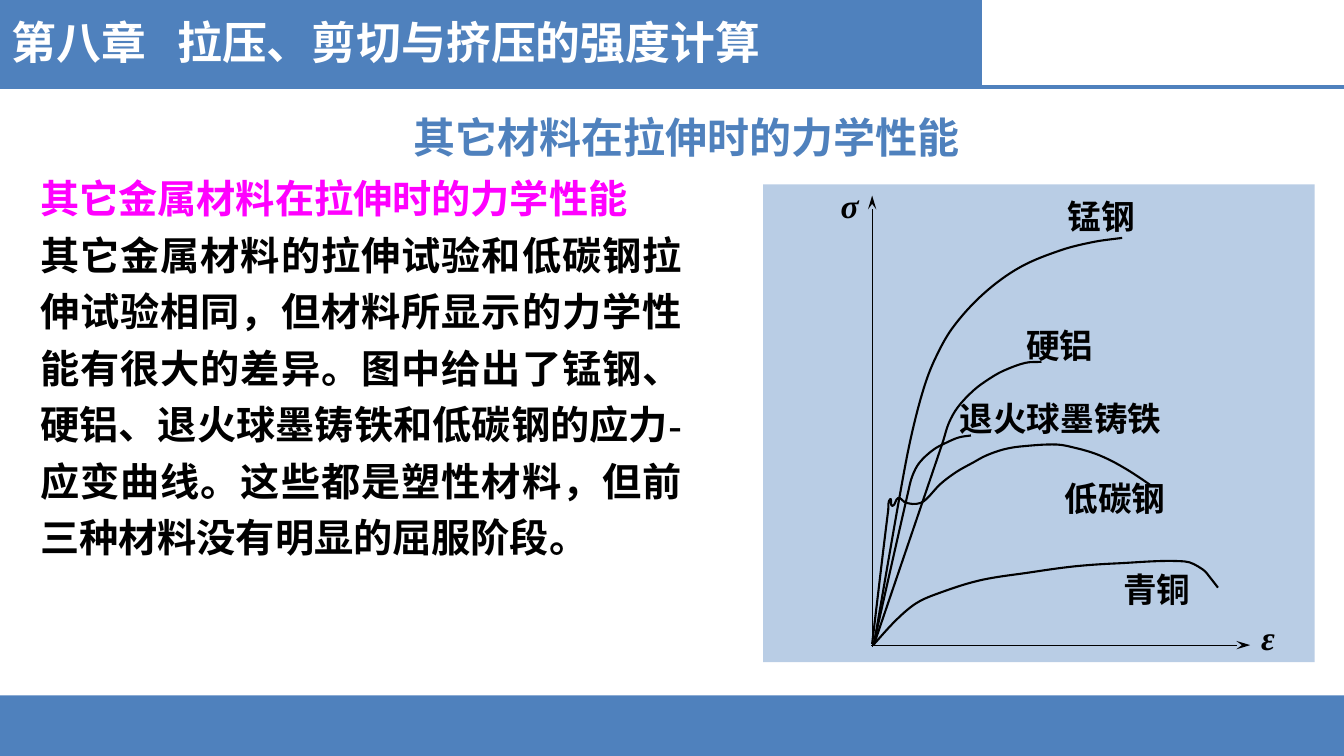
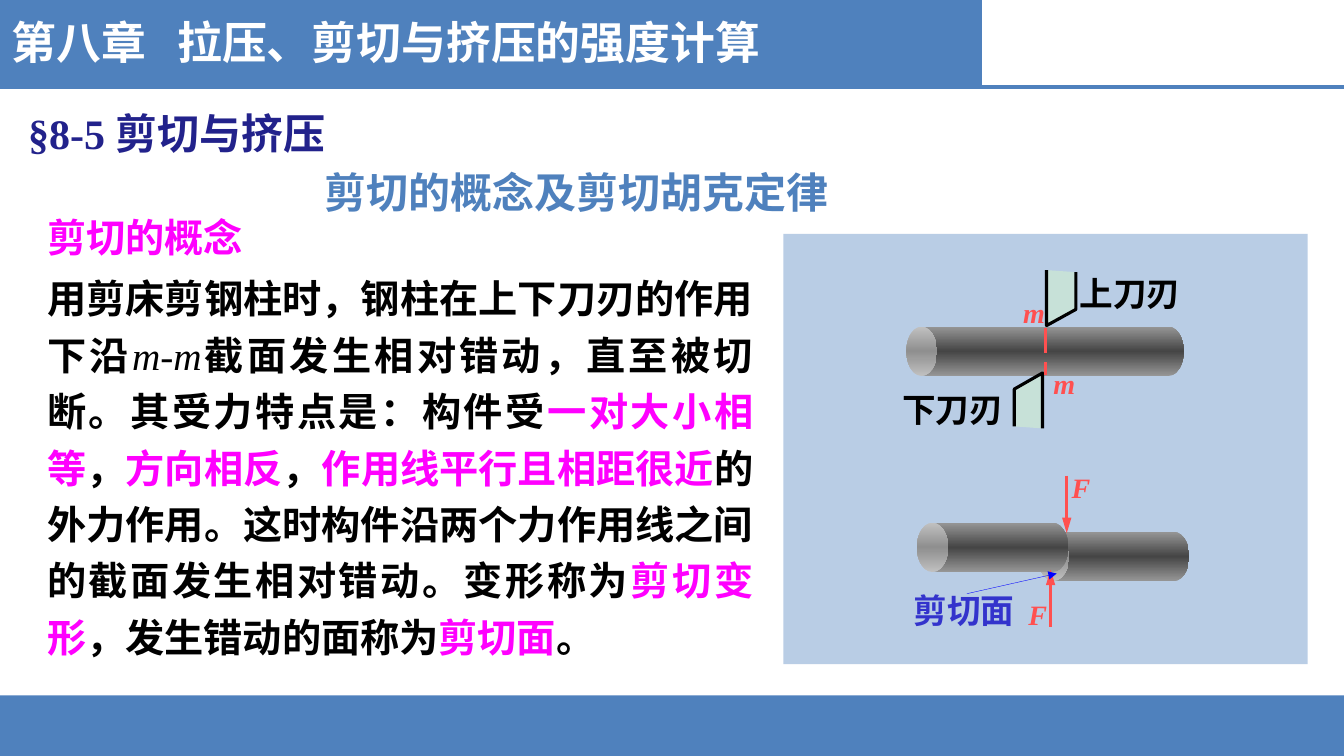
import copy
import math

import pptx
import pptx.dml.color
import pptx.enum.dml
import pptx.enum.shapes
import pptx.enum.text
import pptx.oxml
import pptx.oxml.ns
import pptx.util

Inches = pptx.util.Inches
qn = pptx.oxml.ns.qn
RGB = pptx.dml.color.RGBColor.from_string
SHAPE = pptx.enum.shapes.MSO_SHAPE
JUSTIFY = pptx.enum.text.PP_ALIGN.JUSTIFY

CJK = "Noto Sans CJK SC"
TIMES = "Times New Roman"
NAMESPACE = pptx.oxml.ns.nsdecls("a")
C = {
    "blue": "4F81BD", "panel": "B9CDE5", "white": "FFFFFF", "black": "000000",
    "magenta": "FF00FF", "navy": "22228B", "red": "FF5050", "blade": "C7E1D8",
    "callout": "3333CC", "pointer": "0000FF", "steel": "969696", "dark steel": "454545",
}


def add_text(slide, box, paragraphs, size, font=TIMES, align=None, spacing=None, inset=None):
    """Each paragraph is a list of runs: (text, colour[, style]); style holds b and/or i."""
    text_box = slide.shapes.add_textbox(*map(Inches, box))
    frame = text_box.text_frame
    frame.word_wrap = True
    if inset is not None:
        frame.margin_left = frame.margin_right = Inches(inset)
        frame.margin_top = frame.margin_bottom = Inches(inset)
    for number, runs in enumerate(paragraphs):
        paragraph = frame.add_paragraph() if number else frame.paragraphs[0]
        paragraph.alignment = align
        paragraph.line_spacing = spacing
        # Keep punctuation inside the right margin
        paragraph._p.get_or_add_pPr().set("hangingPunct", "0")
        for text, color, *style in runs:
            style = style[0] if style else "b"
            run = paragraph.add_run()
            run.text = text
            run.font.size = pptx.util.Pt(size)
            run.font.bold = "b" in style
            run.font.italic = "i" in style
            run.font.color.rgb = RGB(C[color])
            run.font.name = font
            properties = run._r.get_or_add_rPr()
            properties.set("lang", "zh-CN")
            properties.append(pptx.oxml.parse_xml(f'<a:ea {NAMESPACE} typeface="{CJK}"/>'))
    return text_box


def add_line(slide, start, end, color, width, arrow=None, arrow_length="lg", dash=None):
    line = slide.shapes.add_connector(
        pptx.enum.shapes.MSO_CONNECTOR.STRAIGHT, *map(Inches, (*start, *end)))
    line.line.color.rgb = RGB(C[color])
    line.line.width = pptx.util.Pt(width)
    if dash:
        line.line.dash_style = dash
    if arrow:
        line.line._get_or_add_ln().append(pptx.oxml.parse_xml(
            f'<a:tailEnd {NAMESPACE} type="{arrow}" w="med" len="{arrow_length}"/>'))
    line._element.spPr.append(pptx.oxml.parse_xml(f"<a:effectLst {NAMESPACE}/>"))
    return line


deck = pptx.Presentation()
deck.slide_width = Inches(13.33)
deck.slide_height = Inches(7.5)
layout = deck.slide_layouts[6]
for placeholder in list(layout.placeholders):
    placeholder.element.getparent().remove(placeholder.element)
tension = deck.slides.add_slide(layout)
shear = deck.slides.add_slide(layout)

# Bands and figure panels
rectangles = []
for slide, color, box in [
    (tension, "blue", (0, 6.9, 13.34, 0.6)),
    (tension, "blue", (0, -0.01, 9.74, 0.87)),
    (tension, "panel", (7.57, 1.83, 5.47, 4.74)),
    (shear, "panel", (7.77, 2.32, 5.2, 4.27)),
]:
    rectangle = slide.shapes.add_shape(SHAPE.RECTANGLE, *map(Inches, box))
    rectangle.shadow.inherit = False
    rectangle.fill.solid()
    rectangle.fill.fore_color.rgb = RGB(C[color])
    rectangle.line.fill.background()
    rectangles.append(rectangle)

# The chapter frame lives on the layout, so both slides show it
rule = add_line(tension, (0, 0.86), (13.33, 0.86), "blue", 3)
chapter = add_text(tension, (0.02, 0.1, 9, 0.64),
                   [[("第八章\t拉压、剪切与挤压的强度计算", "white")]], 32, CJK)
chapter_tabs = pptx.oxml.parse_xml(
    f'<a:tabLst {NAMESPACE}><a:tab pos="{Inches(1.64)}" algn="l"/></a:tabLst>')
chapter.text_frame.paragraphs[0]._p.get_or_add_pPr().append(chapter_tabs)
for part in [*rectangles[:2], rule, chapter]:
    layout.shapes._spTree.append(part._element)

# Topic headings
for slide, box, topic in [
    (tension, (4, 0.96, 5.8, 0.66), "其它材料在拉伸时的力学性能"),
    (shear, (3.12, 1.5, 5.38, 0.66), "剪切的概念及剪切胡克定律"),
]:
    add_text(slide, box, [[(topic, "blue")]], 30, CJK, spacing=1.2)

# Slide 1: stress-strain curves
add_text(tension, (0.3, 1.59, 6.56, 4.01), [
    [("其它金属材料在拉伸时的力学性能", "magenta")],
    [("其它金属材料的拉伸试验和低碳钢拉伸试验相同，但材料所显示的力学性能有很大的差异。"
      "图中给出了锰钢、硬铝、退火球墨铸铁和低碳钢的应力-应变曲线。"
      "这些都是塑性材料，但前三种材料没有明显的屈服阶段。", "black")],
], 28, align=JUSTIFY, spacing=1.2)

add_line(tension, (8.64, 6.4), (12.4, 6.4), "black", 0.75, "stealth")
add_line(tension, (8.65, 6.42), (8.65, 1.94), "black", 0.75, "stealth")

bronze = [(8.66, 6.4), (8.89, 6.15), (9.08, 5.99), (9.27, 5.9), (9.71, 5.76), (10.21, 5.68),
          (10.65, 5.62), (11.07, 5.59), (11.75, 5.57), (11.93, 5.65), (12.01, 5.74),
          (12.08, 5.83)]
mild_steel = [(8.65, 6.39), (8.81, 5.06), (8.83, 4.95), (8.85, 5.02), (8.91, 4.94),
              (8.97, 4.98), (9.05, 5), (9.13, 4.99), (9.19, 4.95), (9.33, 4.8), (9.49, 4.68),
              (9.65, 4.59), (9.78, 4.52), (9.95, 4.46), (10.12, 4.43), (10.48, 4.41),
              (10.69, 4.45), (10.86, 4.5), (11.02, 4.57), (11.18, 4.66), (11.32, 4.75),
              (11.42, 4.82)]
ductile_iron = [(8.67, 6.37), (9.01, 4.87), (9.05, 4.72), (9.12, 4.59), (9.26, 4.46),
                (9.39, 4.39), (9.51, 4.34), (9.63, 4.32)]
hard_aluminium = [(8.67, 6.39), (9.35, 4.39), (9.41, 4.2), (9.5, 4.04), (9.66, 3.87),
                  (9.81, 3.76), (9.95, 3.68), (10.17, 3.6), (10.33, 3.59)]
manganese_steel = [(8.67, 6.38), (8.94, 4.83), (9.04, 4.32), (9.16, 3.86), (9.27, 3.57),
                   (9.45, 3.25), (9.76, 2.91), (10.12, 2.65), (10.53, 2.48), (10.85, 2.4),
                   (11.13, 2.36)]
for points in [bronze, mild_steel, ductile_iron, hard_aluminium, manganese_steel]:
    (left, top), *rest = [(Inches(x), Inches(y)) for x, y in points]
    builder = tension.shapes.build_freeform(left, top)
    builder.add_line_segments(rest, close=False)
    curve = builder.convert_to_shape()
    curve.shadow.inherit = False
    curve.fill.background()
    curve.line.color.rgb = RGB(C["black"])
    curve.line.width = pptx.util.Pt(1.5)

    # Turn each straight segment into a Bezier whose tangents follow its neighbours
    outline = curve._element.find(".//" + qn("a:path"))
    nodes = [(int(pt.get("x")), int(pt.get("y"))) for pt in outline.iter(qn("a:pt"))]
    padded = [nodes[0], *nodes, nodes[-1]]
    tangents = []
    for before, after in zip(padded, padded[2:]):
        dx, dy = after[0] - before[0], after[1] - before[1]
        length = math.hypot(dx, dy)
        tangents.append((dx / length, dy / length))
    for i, segment in enumerate(outline.findall(qn("a:lnTo"))):
        start, end = nodes[i], nodes[i + 1]
        reach = math.dist(start, end) / 3
        bezier = pptx.oxml.parse_xml(f"<a:cubicBezTo {NAMESPACE}/>")
        for node, tangent, pull in [(start, tangents[i], reach),
                                    (end, tangents[i + 1], -reach), (end, (0, 0), 0)]:
            point = copy.deepcopy(segment[0])
            point.set("x", str(round(node[0] + tangent[0] * pull)))
            point.set("y", str(round(node[1] + tangent[1] * pull)))
            bezier.append(point)
        outline.replace(segment, bezier)

for label, left, top, style in [
    ("σ", 8.24, 1.79, "bi"), ("ε", 12.41, 6.07, "bi"), ("锰钢", 10.49, 1.89, "b"),
    ("硬铝", 10.08, 3.17, "b"), ("退火球墨铸铁", 9.42, 3.9, "b"),
    ("低碳钢", 10.46, 4.69, "b"), ("青铜", 11.04, 5.59, "b"),
]:
    add_text(tension, (left, top, 0.35 + len(label) / 3, 0.5), [[(label, "black", style)]], 24)

# Slide 2: shear
add_text(shear, (0.18, 1.02, 10.66, 0.61), [[("§8-5 剪切与挤压", "navy")]], 30)
add_text(shear, (0.37, 1.97, 3.31, 0.62), [[("剪切的概念", "magenta")]], 28, spacing=1.2)
add_text(shear, (0.37, 2.58, 7.2, 4.58), [[
    ("用剪床剪钢柱时，钢柱在上下刀刃的作用下沿", "black"),
    ("m-m", "black", "i"),
    ("截面发生相对错动，直至被切断。其受力特点是：构件受", "black"),
    ("一对大小相等", "magenta"),
    ("，", "black"),
    ("方向相反", "magenta"),
    ("，", "black"),
    ("作用线平行且相距很近", "magenta"),
    ("的外力作用。这时构件沿两个力作用线之间的截面发生相对错动。变形称为", "black"),
    ("剪切变形", "magenta"),
    ("，发生错动的面称为", "black"),
    ("剪切面", "magenta"),
    ("。", "black"),
]], 28, align=JUSTIFY, spacing=1.2)

# Steel bars: upright cans turned on their side
for left, top, length, lid in [
    (10.12, 2.11, 2.75, 0.617), (10.8, 4.77, 1.5, 0.631), (9.6, 4.68, 1.5, 0.631),
]:
    bar = shear.shapes.add_shape(SHAPE.CAN, *map(Inches, (left, top, 0.49, length)))
    bar.rotation = 270
    bar.adjustments[0] = lid
    bar.shadow.inherit = False
    bar.line.fill.background()
    bar.fill.gradient()
    bar.fill.gradient_angle = 0
    stops = bar._element.spPr.find(".//" + qn("a:gsLst"))
    stops.insert(1, copy.deepcopy(stops[0]))
    for stop, position, color in zip(bar.fill.gradient_stops, (0, 0.5, 1),
                                     ("steel", "dark steel", "steel")):
        stop.position = position
        stop.color.rgb = RGB(C[color])

upper_blade = [(10.67, 2.7), (10.67, 3.07), (10.38, 3.23), (10.38, 2.68)]
lower_blade = [(10.06, 4.23), (10.06, 3.86), (10.34, 3.7), (10.34, 4.25)]
for points in [upper_blade, lower_blade]:
    (left, top), *rest = [(Inches(x), Inches(y)) for x, y in points]
    builder = shear.shapes.build_freeform(left, top)
    builder.add_line_segments(rest, close=False)
    blade = builder.convert_to_shape()
    blade.shadow.inherit = False
    blade.fill.solid()
    blade.fill.fore_color.rgb = RGB(C["blade"])
    blade.line.color.rgb = RGB(C["black"])
    blade.line.width = pptx.util.Pt(2.25)

add_line(shear, (10.37, 3.25), (10.37, 3.72), "red", 2.25,
         dash=pptx.enum.dml.MSO_LINE.LONG_DASH)
add_line(shear, (10.58, 4.72), (10.58, 5.29), "red", 2.25, "triangle")
add_line(shear, (10.42, 6.22), (10.42, 5.65), "red", 2.25, "triangle")
add_line(shear, (9.59, 5.89), (10.48, 5.69), "pointer", 0.25, "triangle", "med")

for blade_name, left, top in [("上刀刃", 10.61, 2.66), ("下刀刃", 8.85, 3.81)]:
    add_text(shear, (left, top, 1.4, 0.67), [[(blade_name, "black")]], 24, CJK)
for symbol, left, top in [
    ("m", 10.05, 2.88), ("m", 10.35, 3.59), ("F", 10.1, 5.88), ("F", 10.53, 4.62),
]:
    add_text(shear, (left, top, 0.81, 0.81), [[(symbol, "red", "bi")]], 20)
add_text(shear, (9.05, 5.84, 1.38, 0.58), [[("剪切面", "callout")]], 24, CJK, inset=0.01)

deck.save("out.pptx")
